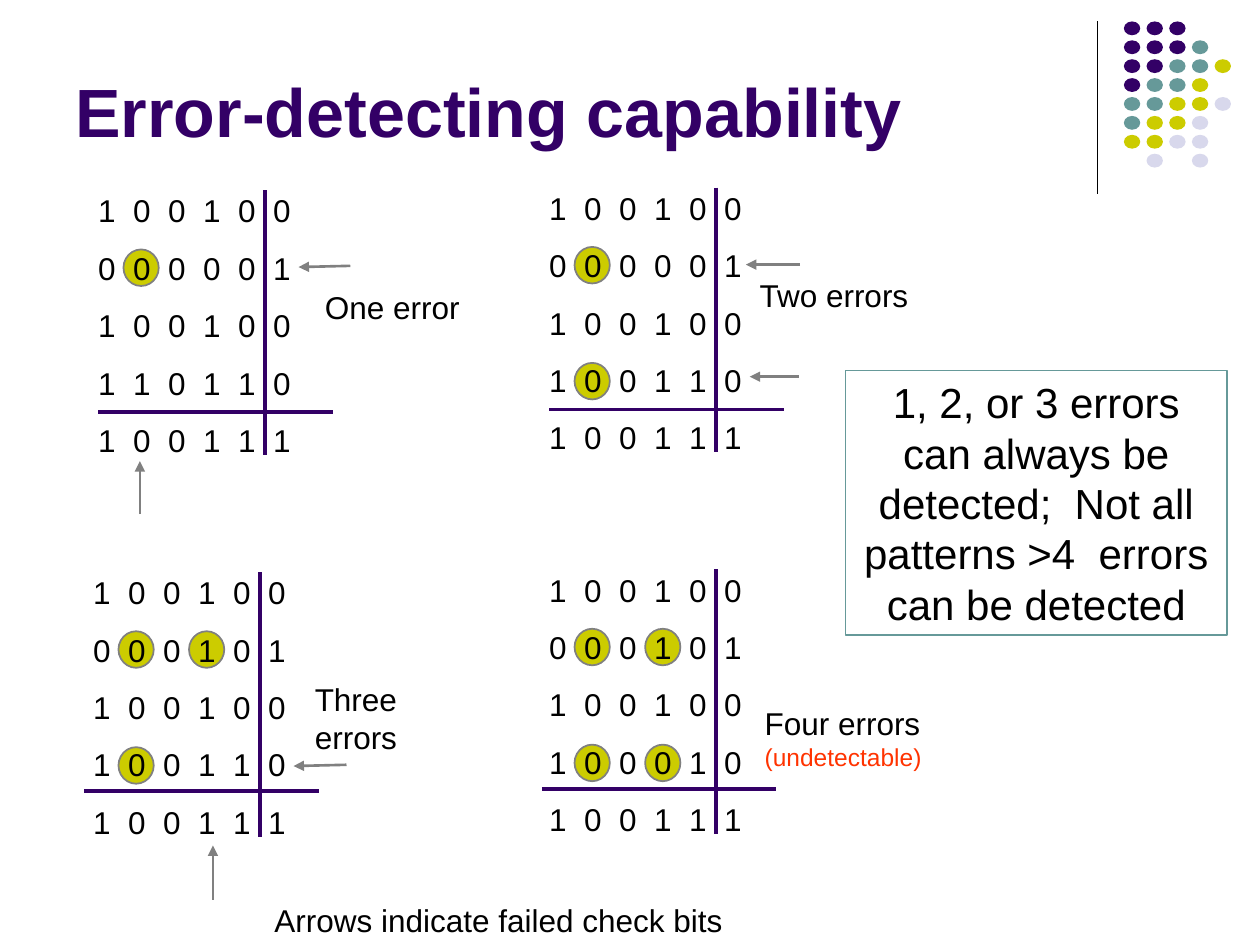
from lxml.etree import SubElement
from pptx import Presentation
from pptx.dml.color import RGBColor
from pptx.enum.shapes import MSO_CONNECTOR as CONNECTOR, MSO_SHAPE as SHAPE
from pptx.enum.text import MSO_ANCHOR as ANCHOR, PP_ALIGN as ALIGN
from pptx.oxml.ns import qn
from pptx.util import Inches, Pt

BLACK = RGBColor(0x00, 0x00, 0x00)
PURPLE = RGBColor(0x33, 0x00, 0x66)
TEAL = RGBColor(0x66, 0x99, 0x99)
YELLOW = RGBColor(0xCC, 0xCC, 0x00)
LAVENDER = RGBColor(0xD8, 0xD8, 0xEC)
GRAY = RGBColor(0x80, 0x80, 0x80)
RED = RGBColor(0xFF, 0x33, 0x00)

prs = Presentation()
prs.slide_width, prs.slide_height = Inches(10), Inches(7.5)
slide = prs.slides.add_slide(prs.slide_layouts[6])
shapes = slide.shapes


def add_line(x1, y1, x2, y2, color, width, arrow=False):
    line = shapes.add_connector(
        CONNECTOR.STRAIGHT, Inches(x1), Inches(y1), Inches(x2), Inches(y2))
    line.line.color.rgb = color
    line.line.width = Pt(width)
    if arrow:
        SubElement(line.line._get_or_add_ln(), qn("a:tailEnd"), type="triangle")
    SubElement(line._element.spPr, qn("a:effectLst"))


def add_text(x, y, w, h, paragraphs, space_before=0):
    box = shapes.add_textbox(Inches(x), Inches(y), Inches(w), Inches(h))
    frame = box.text_frame
    frame.word_wrap = True
    for index, runs in enumerate(paragraphs):
        paragraph = frame.paragraphs[0] if index == 0 else frame.add_paragraph()
        paragraph.space_before = Pt(space_before)
        for text, size, color in runs:
            run = paragraph.add_run()
            run.text = text
            run.font.name = "Arial"
            run.font.size = Pt(size)
            run.font.color.rgb = color
    return box


add_line(8.71, 0.17, 8.71, 1.54, BLACK, 0.75)

dot_colors = {"P": PURPLE, "T": TEAL, "Y": YELLOW, "L": LAVENDER}
dot_rows = ["PPP", "PPPT", "PPTTY", "PTTY", "TTYYL", "TYYL", "YYLL", " L L"]
for row, dots in enumerate(dot_rows):
    for col, key in enumerate(dots):
        if key in dot_colors:
            dot = shapes.add_shape(
                SHAPE.OVAL, Inches(8.92 + 0.18 * col), Inches(0.17 + 0.15 * row),
                Inches(0.13), Inches(0.11))
            dot.shadow.inherit = False
            dot.fill.solid()
            dot.fill.fore_color.rgb = dot_colors[key]
            dot.line.fill.background()

code_blocks = [
    (0.68, 1.47, 0.1, 1.8, ["100100", "000001", "100100", "110110", "100111"],
     [(1, 1)]),
    (4.26, 1.45, 0.1, 1.8, ["100100", "000001", "100100", "100110", "100111"],
     [(1, 1), (3, 1)]),
    (0.64, 4.5, 0.03, 1.78, ["100100", "000101", "100100", "100110", "100111"],
     [(1, 1), (1, 3), (3, 1)]),
    (4.26, 4.48, 0.04, 1.78, ["100100", "000101", "100100", "100010", "100111"],
     [(1, 1), (1, 3), (3, 1), (3, 3)]),
]
for left, top, rule_left, rule_top, words, errors in code_blocks:
    for row, col in errors:
        error = shapes.add_shape(
            SHAPE.OVAL, Inches(left + 0.02 + 0.28 * col),
            Inches(top + 0.05 + 0.46 * row), Inches(0.28), Inches(0.29))
        error.shadow.inherit = False
        error.fill.solid()
        error.fill.fore_color.rgb = YELLOW
        error.line.color.rgb = GRAY
        error.line.width = Pt(1)
    add_text(left, top, 2.08, 2.23,
             [[("  ".join(word), 18, BLACK)] for word in words], space_before=11.2)
    add_line(left + rule_left, top + rule_top,
             left + rule_left + 1.86, top + rule_top, PURPLE, 2.25)
    add_line(left + 1.42, top + 0.04, left + 1.42, top + 2.14, PURPLE, 2.25)

failed_checks = [
    (1.11, 4.08, 1.11, 3.66),
    (2.78, 2.11, 2.37, 2.12),
    (6.35, 2.1, 5.92, 2.1),
    (6.34, 2.99, 5.95, 2.99),
    (2.75, 6.07, 2.33, 6.08),
    (1.69, 7.14, 1.69, 6.71),
]
for ends in failed_checks:
    add_line(*ends, GRAY, 1.5, arrow=True)

add_text(2.48, 2.24, 1.32, 0.4, [[("One error", 18, BLACK)]])
add_text(5.93, 2.14, 1.39, 0.4, [[("Two errors", 18, BLACK)]])
add_text(2.4, 5.35, 1.51, 0.7, [[("Three errors", 18, BLACK)]])
add_text(5.97, 5.54, 1.51, 0.64,
         [[("Four errors ", 18, BLACK), ("(undetectable)", 14, RED)]])
add_text(2.08, 7.1, 3.9, 0.4, [[("Arrows indicate failed check bits", 18, BLACK)]])

title = add_text(0.5, 0.13, 8.25, 1.12, [[("Error-detecting capability", 39, PURPLE)]])
title.text_frame.vertical_anchor = ANCHOR.BOTTOM
title.text_frame.paragraphs[0].runs[0].font.bold = True

summary = add_text(6.71, 2.94, 3.03, 2.1, [[(
    "1, 2, or 3 errors can always be detected;  Not all patterns >4  errors can be detected",
    24, BLACK)]])
summary.text_frame.paragraphs[0].alignment = ALIGN.CENTER
summary.line.color.rgb = TEAL
summary.line.width = Pt(1)

prs.save("out.pptx")
